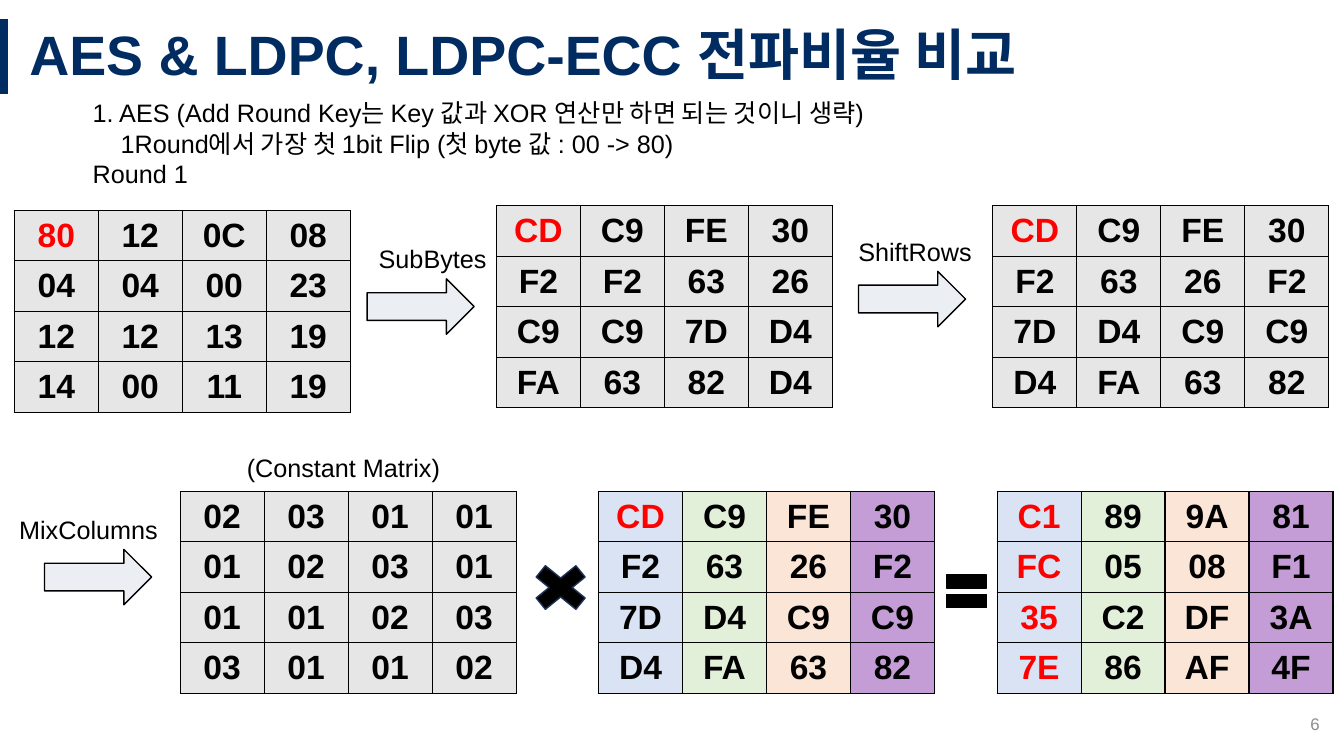
from lxml import etree
from pptx import Presentation
from pptx.dml.color import RGBColor
from pptx.enum.shapes import MSO_CONNECTOR, MSO_SHAPE
from pptx.enum.text import MSO_ANCHOR, PP_ALIGN
from pptx.oxml.ns import qn
from pptx.util import Inches, Pt

LEFT, CENTER, RIGHT = PP_ALIGN.LEFT, PP_ALIGN.CENTER, PP_ALIGN.RIGHT
TOP, MIDDLE = MSO_ANCHOR.TOP, MSO_ANCHOR.MIDDLE
ARROW, TIMES, EQUAL = MSO_SHAPE.RIGHT_ARROW, MSO_SHAPE.MATH_MULTIPLY, MSO_SHAPE.MATH_EQUAL
STRAIGHT = MSO_CONNECTOR.STRAIGHT
GRID_COLUMNS, GRID_ROWS = 160, 90
CELL_COLUMNS, CELL_ROWS = 10, 6
COLORS = {
    "navy": "002C62", "black": "000000", "red": "FF0000", "page": "8C8C8C",
    "arrow": "EBEEF2", "outline": "1E3256", "gray": "E7E6E6",
    "blue": "DAE3F3", "green": "E2F0D9", "peach": "FBE5D6", "purple": "C49DD6",
}
PLAIN = ["gray"] * 4
STRIPES = ["blue", "green", "peach", "purple"]


def color_of(name):
    return RGBColor.from_string(COLORS[name])


def write_text(frame, text, size=18, color="black", bold=False, align=LEFT,
               line_spacing=None, indents=None):
    for index, line in enumerate(text.split("\n")):
        paragraph = frame.paragraphs[0] if index == 0 else frame.add_paragraph()
        if indents and indents[index]:
            paragraph._p.get_or_add_pPr().set("marL", str(Pt(indents[index])))
        paragraph.alignment = align
        if line_spacing:
            paragraph.line_spacing = line_spacing
        run = paragraph.add_run()
        run.text = line
        run.font.name, run.font.size, run.font.bold = "Arial", Pt(size), bold
        run.font.color.rgb = color_of(color)


class CipherSlide:
    """Draws AES state tables and operators on a 160 by 90 grid."""

    def __init__(self, presentation):
        self.slide = presentation.slides.add_slide(presentation.slide_layouts[6])
        self.column = presentation.slide_width / GRID_COLUMNS
        self.row = presentation.slide_height / GRID_ROWS

    def box(self, left, top, width, height):
        return (round(left * self.column), round(top * self.row),
                round(width * self.column), round(height * self.row))

    def text(self, text, left, top, width, height, anchor=TOP, **style):
        frame = self.slide.shapes.add_textbox(*self.box(left, top, width, height)).text_frame
        frame.word_wrap = True
        frame.vertical_anchor = anchor
        write_text(frame, text, **style)

    def bar(self, left, top, bottom, weight):
        x, y, _, end = self.box(left, top, 0, bottom)
        line = self.slide.shapes.add_connector(STRAIGHT, x, y, x, end)
        line.line.color.rgb = color_of("navy")
        line.line.width = Pt(weight)
        etree.SubElement(line._element.spPr, qn("a:effectLst"))

    def symbol(self, kind, left, top, width, height, fill="black", outline="black"):
        shape = self.slide.shapes.add_shape(kind, *self.box(left, top, width, height))
        shape.shadow.inherit = False
        shape.fill.solid()
        shape.fill.fore_color.rgb = color_of(fill)
        shape.line.color.rgb = color_of(outline)
        shape.line.width = Pt(1)

    def step(self, name, label_left, label_top, label_width, arrow_left):
        self.symbol(ARROW, arrow_left, label_top + 4.8, 12.75, 6.6, fill="arrow")
        self.text(name, label_left, label_top, label_width, 4.8)

    def borders(self, cell):
        properties = cell._tc.get_or_add_tcPr()
        for side in ("lnL", "lnR", "lnT", "lnB"):
            line = etree.SubElement(properties, qn(f"a:{side}"), w=str(Pt(1)))
            fill = etree.SubElement(line, qn("a:solidFill"))
            etree.SubElement(fill, qn("a:srgbClr"), val=COLORS["black"])

    def matrix(self, values, left, top, fills=PLAIN, red_rows=1):
        rows = [line.split() for line in values.split("/")]
        count = len(rows)
        frame = self.slide.shapes.add_table(
            count, count, *self.box(left, top, count * CELL_COLUMNS, count * CELL_ROWS))
        table = frame.table
        table.first_row = table.horz_banding = False
        for row, line in enumerate(rows):
            for column, value in enumerate(line):
                cell = table.cell(row, column)
                self.borders(cell)
                cell.fill.solid()
                cell.fill.fore_color.rgb = color_of(fills[column])
                cell.vertical_anchor = MIDDLE
                changed = column == 0 and row < red_rows
                write_text(cell.text_frame, value, size=24, bold=True, align=CENTER,
                           color="red" if changed else "black")


def main():
    presentation = Presentation()
    presentation.slide_width, presentation.slide_height = Inches(13.33), Inches(7.5)
    page = CipherSlide(presentation)

    page.bar(0.5, 2.25, 11.25, 6)
    page.text("AES & LDPC, LDPC-ECC 전파비율 비교", 2.3, 2.3, 157.7, 9, anchor=MIDDLE,
              size=39.6, color="navy", bold=True, line_spacing=0.9)
    page.text("6", 122.3, 83.8, 36, 4.8, anchor=MIDDLE, size=12, color="page", align=RIGHT)
    page.text("1. AES (Add Round Key는 Key 값과 XOR 연산만 하면 되는 것이니 생략)\n"
              "1Round에서 가장 첫 1bit Flip (첫 byte 값 : 00 -> 80)\n"
              "Round 1", 9.85, 11.05, 123.6, 11.9, indents=[0, 20, 0])

    shifted = "CD C9 FE 30/F2 63 26 F2/7D D4 C9 C9/D4 FA 63 82"
    upper, lower = 24.5, 58.5
    page.matrix("80 12 0C 08/04 04 00 23/12 12 13 19/14 00 11 19", 1.7, 25.05)
    page.step("SubBytes", 43.9, 28.4, 17.5, 43.7)
    page.matrix("CD C9 FE 30/F2 F2 63 26/C9 C9 7D D4/FA 63 82 D4", 59.1, upper)
    page.step("ShiftRows", 101, 27.5, 17.4, 102.2)
    page.matrix(shifted, 118.2, upper)

    page.step("MixColumns", 1.1, 60.6, 21.8, 5.3)
    page.text("(Constant Matrix)", 28.2, 53.3, 28.9, 4.8)
    page.matrix("02 03 01 01/01 02 03 01/01 01 02 03/03 01 01 02", 21.45, lower, red_rows=0)
    page.symbol(TIMES, 62.2, 66.25, 9.1, 7.4, outline="outline")
    page.matrix(shifted, 71.25, lower, STRIPES)
    page.symbol(EQUAL, 111.8, 67.1, 6.5, 6.6)
    page.matrix("C1 89 9A 81/FC 05 08 F1/35 C2 DF 3A/7E 86 AF 4F", 118.7, lower,
                STRIPES, red_rows=4)
    presentation.save("out.pptx")


if __name__ == "__main__":
    main()
